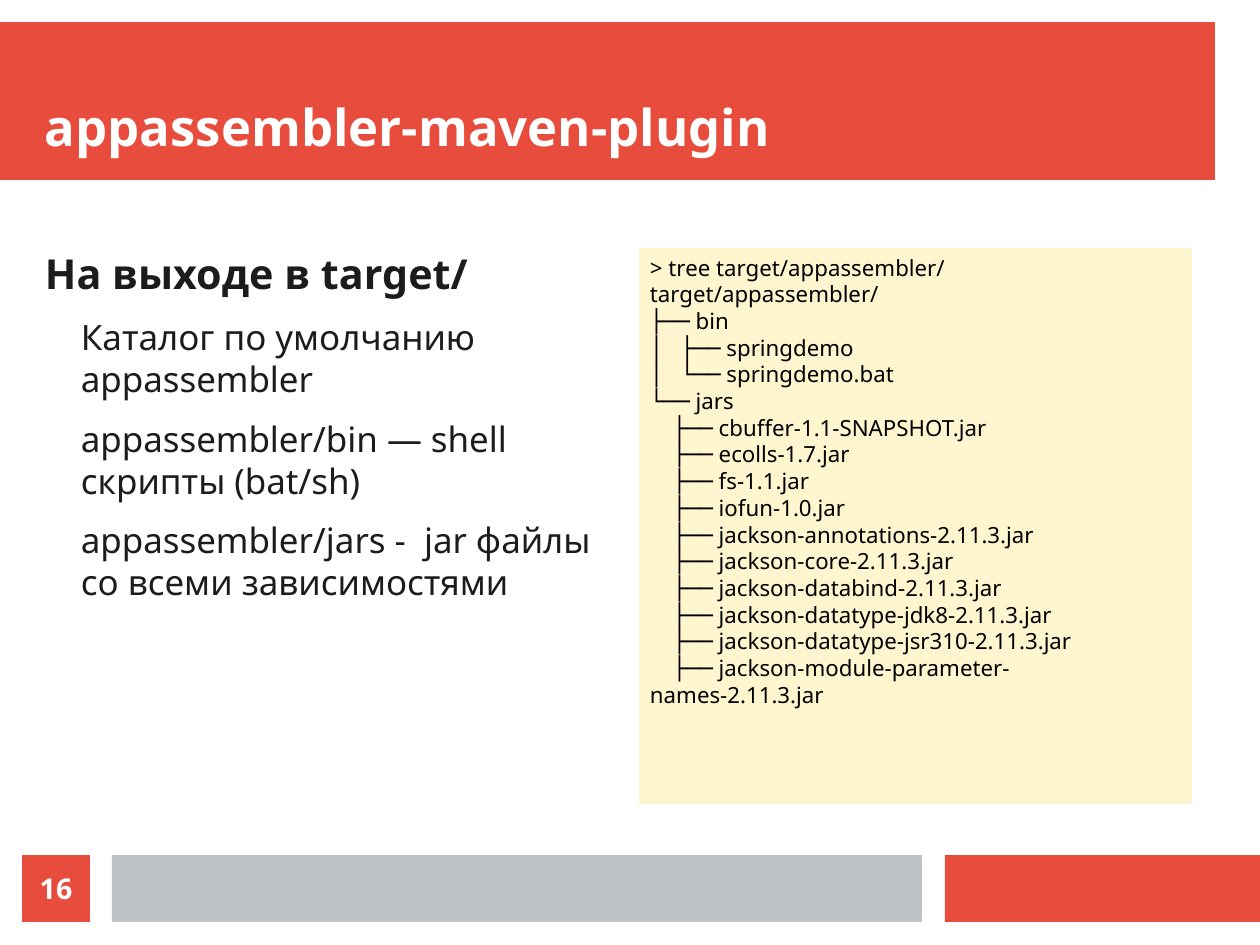
import pptx
import pptx.util
import pptx.dml.color
import pptx.enum.shapes
import pptx.enum.text

RGB = pptx.dml.color.RGBColor
ALIGN = pptx.enum.text.PP_ALIGN
ANCHOR = pptx.enum.text.MSO_ANCHOR

# Content
TITLE = "appassembler-maven-plugin"
PAGE = "16"
HEAD = "На выходе в target/"
POINTS = [
    "Каталог по умолчанию appassembler",
    "appassembler/bin — shell скрипты (bat/sh)",
    "appassembler/jars -  jar файлы со всеми зависимостями",
]
TREE = [
    "> tree target/appassembler/",
    "target/appassembler/",
    "├── bin",
    "│   ├── springdemo",
    "│   └── springdemo.bat",
    "└── jars",
]
JARS = [
    "cbuffer-1.1-SNAPSHOT",
    "ecolls-1.7",
    "fs-1.1",
    "iofun-1.0",
    "jackson-annotations-2.11.3",
    "jackson-core-2.11.3",
    "jackson-databind-2.11.3",
    "jackson-datatype-jdk8-2.11.3",
    "jackson-datatype-jsr310-2.11.3",
    "jackson-module-parameter-names-2.11.3",
]

# Style
FONT = "Noto Sans"
RED = RGB(0xE7, 0x4C, 0x3C)
GREY = RGB(0xBD, 0xC3, 0xC7)
CREAM = RGB(0xFF, 0xF5, 0xCE)
WHITE = RGB(0xFF, 0xFF, 0xFF)
INK = RGB(0x1C, 0x1C, 0x1C)
BLACK = RGB(0, 0, 0)

# Layout in px
SCALE = 8000
WIDE, HIGH = 1260, 945
LEFT, TOP = 45, 248
FOOT, BAR = 855, 67


def px(n):
    return pptx.util.Emu(n * SCALE)


deck = pptx.Presentation()
deck.slide_width, deck.slide_height = px(WIDE), px(HIGH)
slide = deck.slides.add_slide(deck.slide_layouts[6])


def add_box(x, y, w, h, fill):
    box = slide.shapes.add_shape(
        pptx.enum.shapes.MSO_SHAPE.RECTANGLE, px(x), px(y), px(w), px(h))
    box.shadow.inherit = False
    box.fill.solid()
    box.fill.fore_color.rgb = fill
    box.line.fill.background()
    return box


def add_area(x, y, w, h):
    return slide.shapes.add_textbox(px(x), px(y), px(w), px(h))


def set_frame(shape, anchor=ANCHOR.TOP, side=0, edge=0):
    frame = shape.text_frame
    frame.word_wrap = True
    frame.vertical_anchor = anchor
    frame.margin_left = frame.margin_right = px(side)
    frame.margin_top = frame.margin_bottom = px(edge)
    return frame


def write(frame, text, size, color, bold=False, align=ALIGN.LEFT,
          after=0, left=0, first=0):
    para = frame.paragraphs[0]
    if para.runs:
        para = frame.add_paragraph()
    para.alignment = align
    para.space_after = pptx.util.Pt(after)
    props = para._p.get_or_add_pPr()
    props.set("marL", str(px(left)))
    props.set("indent", str(px(first)))
    run = para.add_run()
    run.text = text
    run.font.name = FONT
    run.font.size = pptx.util.Pt(size)
    run.font.bold = bold
    run.font.color.rgb = color


# Header band and footer bars
add_box(0, 22, 1215, 158, RED)
add_box(945, FOOT, WIDE - 945, BAR, RED)
add_box(112, FOOT, 810, BAR, GREY)

# Title
frame = set_frame(add_area(LEFT, LEFT, 1170, 112), ANCHOR.BOTTOM)
write(frame, TITLE, 32, WHITE, bold=True)

# Left column
frame = set_frame(add_area(LEFT, TOP, 576, 585))
write(frame, HEAD, 26, INK, bold=True, after=11.4)
for point in POINTS:
    write(frame, point, 22, INK, after=11.3, left=36)

# Directory tree
frame = set_frame(add_box(639, TOP, 553, 556, CREAM), side=11, edge=6)
for line in TREE:
    write(frame, line, 14, BLACK)
for jar in JARS:
    write(frame, f"├── {jar}.jar", 14, BLACK, first=23)

# Page number
frame = set_frame(add_box(22, FOOT, 68, BAR, RED), ANCHOR.MIDDLE)
write(frame, PAGE, 18, WHITE, bold=True, align=ALIGN.CENTER)

deck.save("out.pptx")
